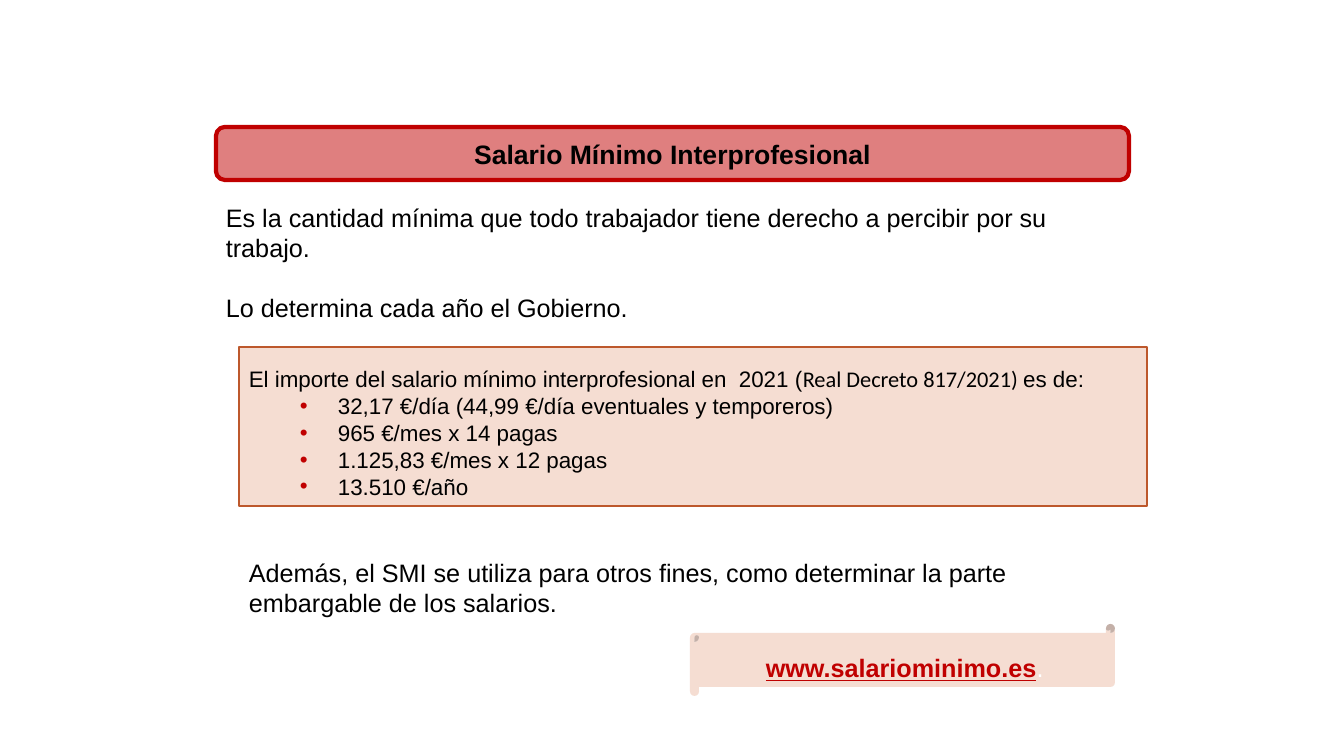
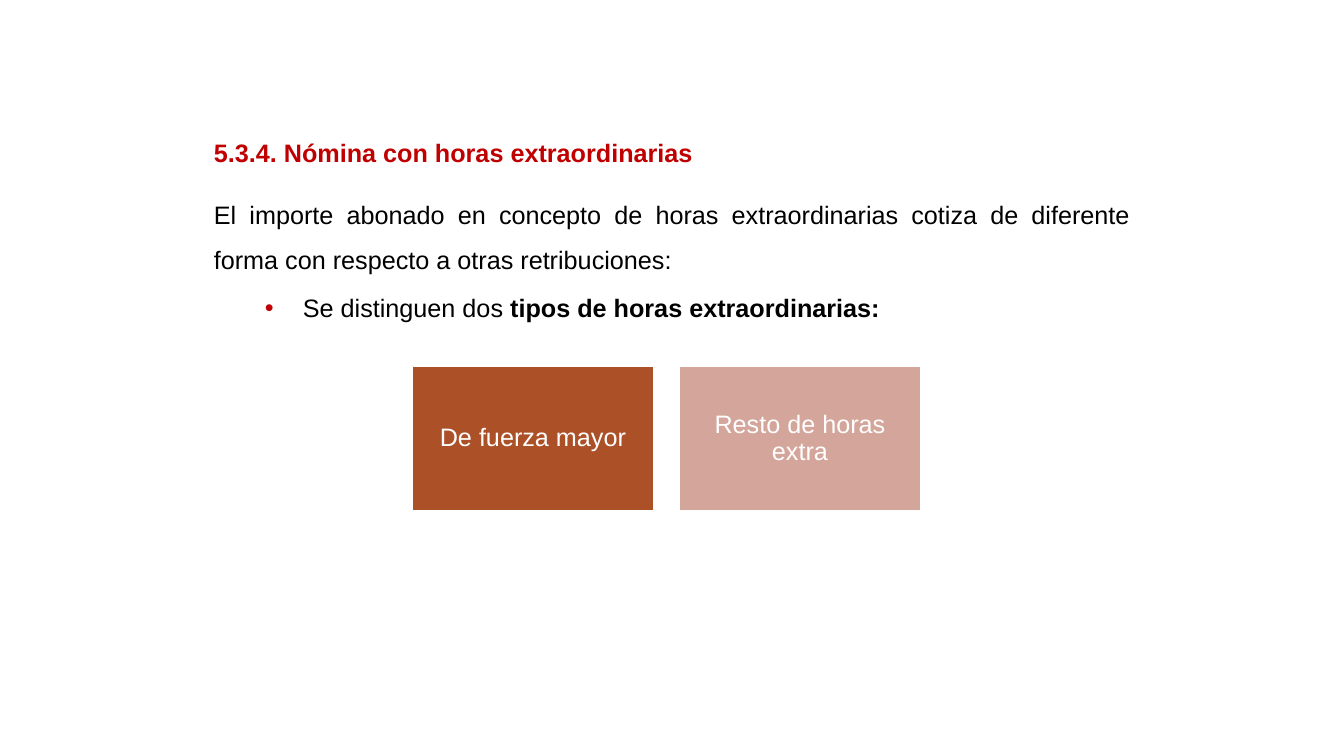
from lxml import etree
from pptx import Presentation
from pptx.dml.color import RGBColor
from pptx.enum.shapes import MSO_SHAPE
from pptx.enum.text import MSO_ANCHOR, PP_ALIGN
from pptx.oxml.ns import qn
from pptx.util import Inches, Pt

PX = Inches(1) / 100.8
FONT = "Arial"
LEFT, CENTER, JUSTIFY = PP_ALIGN.LEFT, PP_ALIGN.CENTER, PP_ALIGN.JUSTIFY
TOP, MIDDLE = MSO_ANCHOR.TOP, MSO_ANCHOR.MIDDLE
RECT, ROUNDED = MSO_SHAPE.RECTANGLE, MSO_SHAPE.ROUNDED_RECTANGLE
SCROLL = MSO_SHAPE.HORIZONTAL_SCROLL

RED = RGBColor(0xC0, 0x00, 0x00)
PEACH = RGBColor(0xF5, 0xDD, 0xD2)
RUST = RGBColor(0xBD, 0x58, 0x2C)
BROWN = RGBColor(0xAC, 0x50, 0x28)
ROSE = RGBColor(0xD4, 0xA5, 0x9A)
BLACK = RGBColor(0x00, 0x00, 0x00)
WHITE = RGBColor(0xFF, 0xFF, 0xFF)


def add_box(s, at, kind=None, fill=None, line=None, weight=1.25, anchor=TOP):
    """Add a preset shape, or a plain text box when kind is None; at is in px."""
    at = [round(v * PX) for v in at]
    if kind is None:
        sp = s.shapes.add_textbox(*at)
    else:
        sp = s.shapes.add_shape(kind, *at)
        sp.shadow.inherit = False
        sp.fill.solid()
        sp.fill.fore_color.rgb = fill
        if line is None:
            sp.line.fill.background()
        else:
            sp.line.color.rgb = line
            sp.line.width = Pt(weight)
    sp.text_frame.word_wrap = True
    sp.text_frame.vertical_anchor = anchor
    return sp


def add_paragraph(sp, texts, size=18, color=BLACK, bold=False, align=LEFT,
                  spacing=1.0, before=0, after=0, bullet=False):
    """Write the runs in texts as one paragraph and return the runs."""
    tf = sp.text_frame
    p = tf.add_paragraph() if tf.text else tf.paragraphs[0]
    if bullet:
        p.level = 1
        pPr = p._p.get_or_add_pPr()
        pPr.set("marL", str(round(89 * PX)))
        pPr.set("indent", str(round(-38 * PX)))
        bu_clr = etree.SubElement(pPr, qn("a:buClr"))
        etree.SubElement(bu_clr, qn("a:srgbClr"), val=str(RED))
        etree.SubElement(pPr, qn("a:buFont"), typeface=FONT)
        etree.SubElement(pPr, qn("a:buChar"), char="•")
    p.alignment = align
    p.line_spacing = spacing
    p.space_before = Pt(before)
    p.space_after = Pt(after)
    for text in texts:
        r = p.add_run()
        r.text = text
        r.font.name = FONT
        r.font.size = Pt(size)
        r.font.bold = bold
        r.font.color.rgb = color
    return p.runs


prs = Presentation()
prs.slide_width = round(1344 * PX)
prs.slide_height = round(756 * PX)
blank = prs.slide_layouts[6]

# Slide 1: minimum wage
s = prs.slides.add_slide(blank)

banner = add_box(s, (216, 127, 913, 53), ROUNDED, RED, RED, 3, MIDDLE)
banner_color = banner._element.spPr.find(qn("a:solidFill")).find(qn("a:srgbClr"))
etree.SubElement(banner_color, qn("a:alpha"), val="50000")
add_paragraph(banner, ["Salario Mínimo Interprofesional"], size=19, bold=True, align=CENTER)

definition = add_box(s, (216, 197, 913, 136))
add_paragraph(definition, ["Es la cantidad mínima que todo trabajador tiene derecho a percibir por su trabajo."])
add_paragraph(definition, ["Lo determina cada año el Gobierno."], before=21)

scroll = add_box(s, (690, 624, 425, 72), SCROLL, PEACH, anchor=MIDDLE)
address, stop = add_paragraph(scroll, ["www.salariominimo.es", "."], color=RED, bold=True,
                              align=CENTER, spacing=1.5, after=6)
address.font.underline = True
stop.font.bold = False
stop.font.color.rgb = WHITE

amounts = add_box(s, (239, 347, 908, 159), RECT, PEACH, RUST)
runs = add_paragraph(amounts, ["El importe del salario mínimo interprofesional en  2021 (",
                               "Real Decreto 817/2021) ", "es de:"],
                     size=16, align=JUSTIFY, spacing=1.5)
runs[1].font.name = "Calibri"
for amount in ("32,17 €/día (44,99 €/día eventuales y temporeros)",
               "965 €/mes x 14 pagas",
               "1.125,83 €/mes x 12 pagas",
               "13.510 €/año"):
    add_paragraph(amounts, [amount], size=16, align=JUSTIFY, bullet=True)

other_uses = add_box(s, (239, 552, 890, 71))
add_paragraph(other_uses, ["Además, el SMI se utiliza para otros fines, como determinar la parte "
                           "embargable de los salarios."])

# Slide 2: overtime
s = prs.slides.add_slide(blank)

heading = add_box(s, (204, 132, 944, 40))
add_paragraph(heading, ["5.3.4. Nómina con horas extraordinarias"], color=RED, bold=True)

intro = add_box(s, (204, 179, 936, 150))
add_paragraph(intro, ["El importe abonado en concepto de horas extraordinarias cotiza de diferente "
                      "forma con respecto a otras retribuciones:"],
              align=JUSTIFY, spacing=1.5)
runs = add_paragraph(intro, ["Se distinguen dos ", "tipos de horas extraordinarias:"],
                     align=JUSTIFY, spacing=1.5, before=2, after=6, bullet=True)
runs[1].font.bold = True

CARD_W, CARD_GAP = 242, 25
for i, (text, fill) in enumerate((("De fuerza mayor", BROWN), ("Resto de horas extra", ROSE))):
    card = add_box(s, (412 + i * (CARD_W + CARD_GAP), 366, CARD_W, 145),
                   RECT, fill, WHITE, anchor=MIDDLE)
    tf = card.text_frame
    tf.margin_left = tf.margin_right = tf.margin_top = tf.margin_bottom = round(7 * PX)
    add_paragraph(card, [text], color=WHITE, align=CENTER, spacing=0.9)

prs.save("out.pptx")
